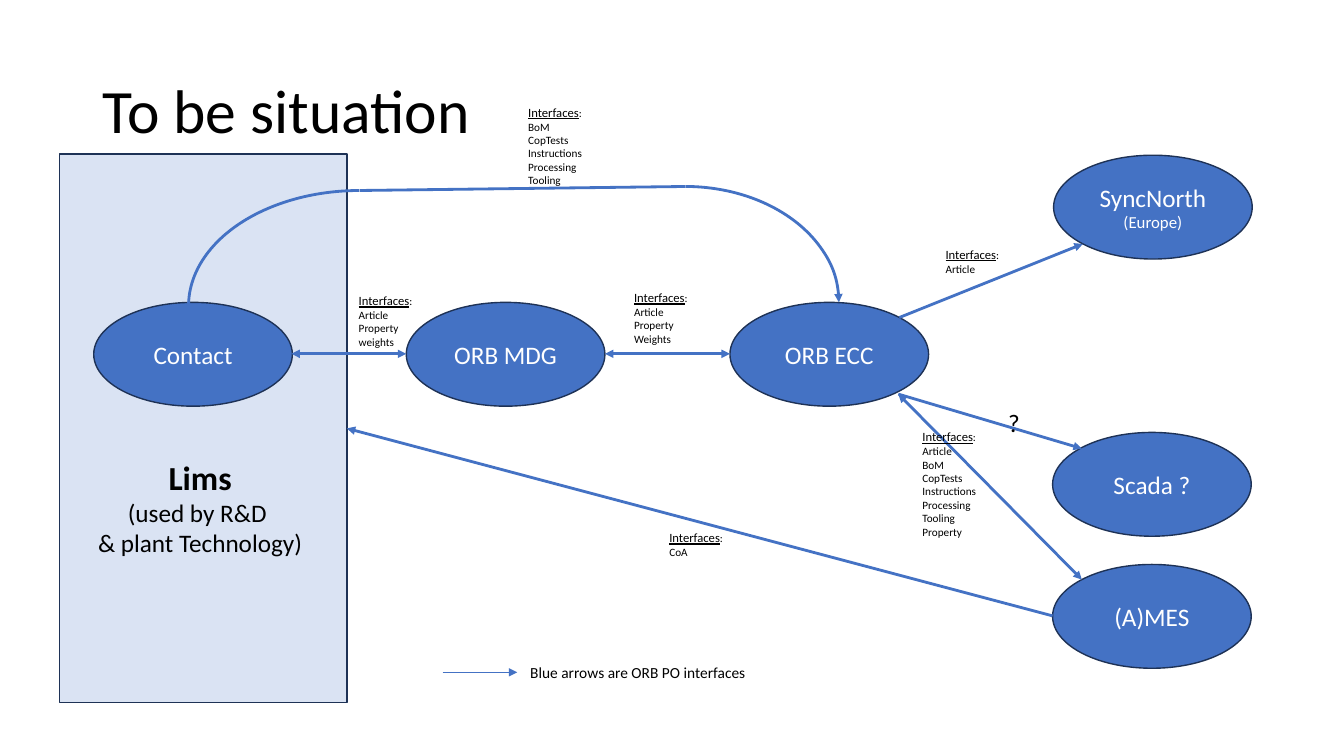
import dataclasses
import typing

import lxml.etree
import pptx
import pptx.dml.color
import pptx.enum.shapes
import pptx.enum.text
import pptx.oxml.ns
import pptx.util

Inches = pptx.util.Inches
Pt = pptx.util.Pt
Kind = pptx.enum.shapes.MSO_SHAPE
Align = pptx.enum.text.PP_ALIGN
Anchor = pptx.enum.text.MSO_ANCHOR
Point = tuple[float, float]


@dataclasses.dataclass(frozen=True)
class Theme:
    font: str = "Calibri"
    blue: str = "4472C4"
    edge: str = "1E3256"
    pale: str = "DAE3F3"
    black: str = "000000"
    white: str = "FFFFFF"
    title: float = 44
    head: float = 24
    body: float = 18
    sub: float = 12
    key: float = 11
    label: float = 9
    item: float = 8
    thick: float = 2
    rim: float = 1
    thin: float = 0.5


THEME = Theme()


@dataclasses.dataclass(frozen=True)
class Node:
    left: float
    top: float
    name: str
    note: str = ""


@dataclasses.dataclass(frozen=True)
class Link:
    start: Point
    end: Point
    both: bool = False
    tip: bool = True
    width: float = THEME.thick
    dock: bool = False


@dataclasses.dataclass(frozen=True)
class List:
    left: float
    top: float
    height: float
    items: str


@dataclasses.dataclass(frozen=True)
class Label:
    box: tuple[float, float, float, float]
    text: str
    size: float


@dataclasses.dataclass(frozen=True)
class Bend:
    box: tuple[float, float, float, float]
    turn: float = 0
    tip: bool = False


NODES = [
    Node(0.93, 3, "Contact"),
    Node(4.03, 3, "ORB MDG"),
    Node(7.24, 3, "ORB ECC"),
    Node(10.45, 1.54, "SyncNorth", "(Europe)"),
    Node(10.44, 4.29, "Scada ?"),
    Node(10.44, 5.6, "(A)MES"),
]
LINKS = [
    Link((2.89, 3.51), (4.03, 3.51), both=True),
    Link((6, 3.51), (7.24, 3.51), both=True),
    Link((8.91, 3.91), (10.73, 4.45)),
    Link((8.91, 3.91), (10.73, 5.75), both=True),
    Link((10.44, 6.11), (3.44, 4.25), dock=True),
    Link((8.92, 3.15), (10.74, 2.42)),
    Link((4.39, 6.67), (5.13, 6.67), width=THEME.thin),
    Link((3.57, 1.89), (6.8, 1.85), tip=False),
]
BENDS = [
    Bend((5.27, 1.85, 3.05, 2.3), tip=True),
    Bend((2.42, 1.34, 2.29, 3.39), turn=270),
]
LISTS = [
    List(3.46, 2.86, 0.66, "Article Property weights"),
    List(6.19, 2.83, 0.66, "Article Property Weights"),
    List(9.05, 4.21, 1.19, "Article BoM CopTests Instructions Processing Tooling Property"),
    List(6.54, 5.21, 0.39, "CoA"),
    List(9.28, 2.4, 0.39, "Article"),
    List(5.14, 0.99, 0.93, "BoM CopTests Instructions Processing Tooling"),
]
LABELS = [
    Label((9.9, 3.99, 0.32, 0.4), "?", THEME.body),
    Label((5.16, 6.53, 2.42, 0.29), "Blue arrows are ORB PO interfaces", THEME.key),
]


def color(code: str) -> pptx.dml.color.RGBColor:
    return pptx.dml.color.RGBColor.from_string(code)


def style(part: typing.Any, size: float, code: str = THEME.black) -> None:
    for run in part.runs:
        run.font.name = THEME.font
        run.font.size = Pt(size)
        run.font.color.rgb = color(code)
    for gap in part._p.findall(pptx.oxml.ns.qn("a:br")):
        lxml.etree.SubElement(gap, pptx.oxml.ns.qn("a:rPr"), sz=str(size * 100))


def stroke(shape: typing.Any, code: str, width: float, both: bool = False, tip: bool = False) -> None:
    shape.line.color.rgb = color(code)
    shape.line.width = Pt(width)
    line = shape.line._get_or_add_ln()
    for tag, show in (("a:headEnd", both), ("a:tailEnd", tip)):
        if show:
            lxml.etree.SubElement(line, pptx.oxml.ns.qn(tag), type="triangle")


def add_form(slide: typing.Any, kind: Kind, box: tuple[float, ...], fill: str) -> typing.Any:
    shape = slide.shapes.add_shape(kind, *map(Inches, box))
    shape.shadow.inherit = False
    shape.fill.solid()
    shape.fill.fore_color.rgb = color(fill)
    stroke(shape, THEME.edge, THEME.rim)
    return shape


def add_node(slide: typing.Any, node: Node) -> None:
    shape = add_form(slide, Kind.OVAL, (node.left, node.top, 1.97, 1.03), THEME.blue)
    frame = shape.text_frame
    frame.text = f"{node.name}\n{node.note}" if node.note else node.name
    frame.vertical_anchor = Anchor.MIDDLE
    for part, size in zip(frame.paragraphs, (THEME.body, THEME.sub)):
        part.alignment = Align.CENTER
        style(part, size, THEME.white)


def add_link(slide: typing.Any, link: Link, panel: typing.Any) -> None:
    kind = pptx.enum.shapes.MSO_CONNECTOR.STRAIGHT
    line = slide.shapes.add_connector(kind, *map(Inches, link.start + link.end))
    if link.dock:
        line.end_connect(panel, 3)
    stroke(line, THEME.blue, link.width, link.both, link.tip)
    lxml.etree.SubElement(line._element.spPr, pptx.oxml.ns.qn("a:effectLst"))


def add_bend(slide: typing.Any, bend: Bend) -> None:
    arc = slide.shapes.add_shape(Kind.ARC, *map(Inches, bend.box))
    arc.shadow.inherit = False
    arc.adjustments[0] = 162.268
    arc.adjustments[1] = 0
    arc.rotation = bend.turn
    arc.fill.background()
    stroke(arc, THEME.blue, THEME.thick, tip=bend.tip)


def add_text(slide: typing.Any, box: tuple[float, ...], text: str, size: float) -> typing.Any:
    frame = slide.shapes.add_textbox(*map(Inches, box)).text_frame
    frame.text = text
    frame.word_wrap = False
    frame.auto_size = pptx.enum.text.MSO_AUTO_SIZE.SHAPE_TO_FIT_TEXT
    for part in frame.paragraphs:
        style(part, size)
    return frame


def add_list(slide: typing.Any, data: List) -> None:
    first, *rest = data.items.split()
    text = "\n".join(["Interfaces", *rest])
    frame = add_text(slide, (data.left, data.top, 0.74, data.height), text, THEME.item)
    head = frame.paragraphs[0]
    head.add_run().text = ":"
    head.add_line_break()
    head.add_run().text = first
    style(head, THEME.item)
    head.runs[0].font.size = Pt(THEME.label)
    head.runs[0].font.underline = True


def main() -> None:
    deck = pptx.Presentation()
    deck.slide_width, deck.slide_height = Inches(13.33), Inches(7.5)
    slide = deck.slides.add_slide(deck.slide_layouts[6])
    panel = add_form(slide, Kind.RECTANGLE, (0.59, 1.53, 2.85, 5.44), THEME.pale)
    title = add_text(slide, (0.92, 0.4, 11.5, 1.45), "To be situation", THEME.title)
    title.auto_size = pptx.enum.text.MSO_AUTO_SIZE.NONE
    title.word_wrap = True
    title.vertical_anchor = Anchor.MIDDLE
    title.paragraphs[0].line_spacing = 0.9
    for node in NODES:
        add_node(slide, node)
    for link in LINKS:
        add_link(slide, link, panel)
    for bend in BENDS:
        add_bend(slide, bend)
    for data in LISTS:
        add_list(slide, data)
    for label in LABELS:
        add_text(slide, label.box, label.text, label.size)
    text = "Lims\n(used by R&D \v& plant Technology)"
    lims = add_text(slide, (0.86, 4.48, 2.25, 1.11), text, THEME.body)
    for part in lims.paragraphs:
        part.alignment = Align.CENTER
    style(lims.paragraphs[0], THEME.head)
    lims.paragraphs[0].runs[0].font.bold = True
    deck.save("out.pptx")


if __name__ == "__main__":
    main()
